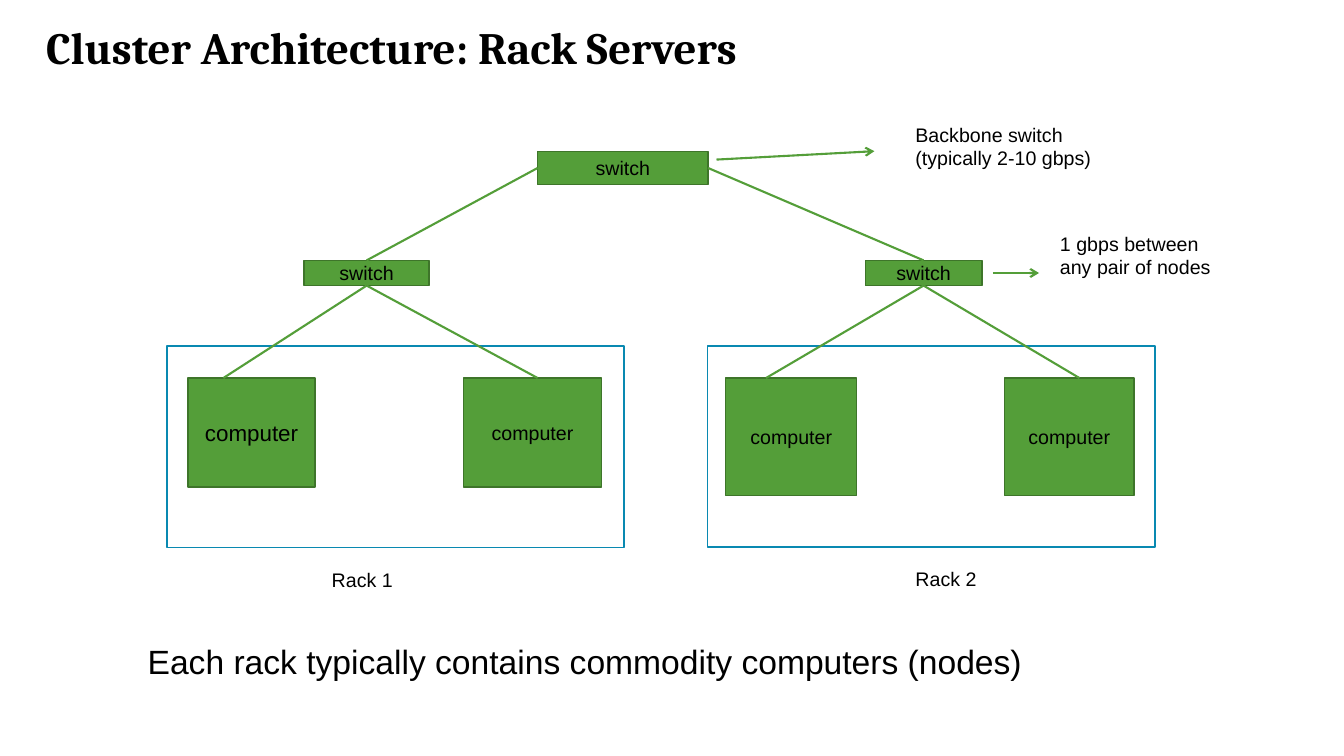
from dataclasses import dataclass

from lxml import etree
from pptx import Presentation
from pptx.dml.color import RGBColor
from pptx.enum.shapes import MSO_CONNECTOR, MSO_SHAPE
from pptx.enum.text import MSO_ANCHOR, PP_ALIGN
from pptx.oxml.ns import qn
from pptx.util import Inches, Pt

RECTANGLE, STRAIGHT = MSO_SHAPE.RECTANGLE, MSO_CONNECTOR.STRAIGHT
MIDDLE, TOP_ANCHOR = MSO_ANCHOR.MIDDLE, MSO_ANCHOR.TOP
CENTER, LEFT_ALIGN = PP_ALIGN.CENTER, PP_ALIGN.LEFT

BLACK = RGBColor(0x00, 0x00, 0x00)
WHITE = RGBColor(0xFF, 0xFF, 0xFF)
GREEN = RGBColor(0x54, 0x9E, 0x39)
DARK_GREEN = RGBColor(0x3E, 0x75, 0x2A)
BLUE = RGBColor(0x09, 0x89, 0xB1)

# The slide is a grid of 160 columns by 90 rows.
WIDTH, HEIGHT = Inches(13.33), Inches(7.5)
COLUMN, ROW = WIDTH / 160, HEIGHT / 90
TOP, LEFT, BOTTOM, RIGHT = range(4)  # connection sites of a rectangle


@dataclass
class Rack:
    """Columns of a rack's parts, counted from its left edge."""
    name: str
    box: tuple
    switch: tuple
    computers: tuple  # (left, width, cable end, text size)
    computer_rows: float
    label: float
    backbone_side: int


RACKS = (
    Rack("Rack 1", (19.9, 41.2, 54.4, 24), (16.3, 14.9),
         ((2.5, 15.1, 6.7, 16), (35.3, 16.4, 44.1, 14)), 13, 18.4, LEFT),
    Rack("Rack 2", (84.2, 41.2, 53.3, 23.9), (18.8, 13.9),
         ((2.2, 15.6, 7, 14), (35.4, 15.4, 44.3, 14)), 14, 23.6, RIGHT),
)


def on_grid(left, top, width, height):
    return (round(left * COLUMN), round(top * ROW),
            round(width * COLUMN), round(height * ROW))


def write(frame, text, size=14, font="Arial", bold=False, align=LEFT_ALIGN,
          anchor=TOP_ANCHOR, wrap=False, spacing=1.0):
    frame.word_wrap = wrap
    frame.vertical_anchor = anchor
    frame.text = text
    style = {"name": font, "size": Pt(size), "bold": bold}
    for paragraph in frame.paragraphs:
        paragraph.alignment = align
        paragraph.line_spacing = spacing
        for key, value in style.items():
            setattr(paragraph.font, key, value)
        paragraph.font.color.rgb = BLACK


def add_label(slide, box, text, **style):
    write(slide.shapes.add_textbox(*on_grid(*box)).text_frame, text, **style)


def add_box(slide, box, fill=GREEN, outline=DARK_GREEN, text="", size=14):
    shape = slide.shapes.add_shape(RECTANGLE, *on_grid(*box))
    shape.shadow.inherit = False
    shape.fill.solid()
    shape.fill.fore_color.rgb = fill
    shape.line.color.rgb = outline
    shape.line.width = Pt(1)
    if text:
        write(shape.text_frame, text, size, align=CENTER, anchor=MIDDLE, wrap=True)
    return shape


def add_cable(slide, start=(0, 0), end=(0, 0), arrow=False):
    cable = slide.shapes.add_connector(
        STRAIGHT, *on_grid(*start, *end))
    cable.line.color.rgb = GREEN
    cable.line.width = Pt(1.5)
    properties = cable._element.spPr
    if arrow:
        etree.SubElement(properties.find(qn("a:ln")), qn("a:tailEnd"), type="arrow")
    etree.SubElement(properties, qn("a:effectLst"))
    return cable


def add_backbone(slide, box):
    """Draw the top switch and the note at its right."""
    left, top, width, _ = box
    backbone = add_box(slide, box, text="switch")
    right = left + width
    add_cable(slide, (right + 1, top + 1), (right + 19.8, top), arrow=True)
    add_label(slide, (right + 23.5, top - 4, 23.4, 6.8),
              "Backbone switch\n(typically 2-10 gbps)")
    return backbone


def add_rack(slide, rack, backbone):
    """Draw a rack, its computers and its switch, cabled to the backbone."""
    left, top, _, height = rack.box
    add_box(slide, rack.box, WHITE, BLUE)
    switch_left, switch_width = rack.switch
    switch = add_box(slide, (left + switch_left, top - 10.2, switch_width, 3),
                     text="switch")
    uplink = add_cable(slide)
    uplink.begin_connect(backbone, rack.backbone_side)
    uplink.end_connect(switch, TOP)
    computer_top = top + 3.8
    for offset, width, cable_end, size in rack.computers:
        add_box(slide, (left + offset, computer_top, width, rack.computer_rows),
                text="computer", size=size)
        cable = add_cable(slide, end=(left + cable_end, computer_top))
        cable.begin_connect(switch, BOTTOM)
    add_label(slide, (left + rack.label, top + height + 1.8, 9.7, 4.1), rack.name)


def add_speed_note(slide, box):
    left, top, _, _ = box
    add_cable(slide, (left - 6.8, top + 5.5), (left - 1.3, top + 5.5), arrow=True)
    add_label(slide, box, "1 gbps between any pair of nodes", wrap=True)


def main():
    presentation = Presentation()
    presentation.slide_width, presentation.slide_height = WIDTH, HEIGHT
    slide = presentation.slides.add_slide(presentation.slide_layouts[6])
    add_label(slide, (4.3, 2.4, 127, 7.1), "Cluster Architecture: Rack Servers",
              size=32, font="Cambria", bold=True, anchor=MIDDLE, wrap=True,
              spacing=0.9)
    backbone = add_backbone(slide, (64, 18, 20.3, 4))
    for rack in RACKS:
        add_rack(slide, rack, backbone)
    add_speed_note(slide, (125, 27, 22.1, 6.8))
    add_label(slide, (16.4, 75.7, 107.5, 6),
              "Each rack typically contains commodity computers (nodes)", size=24)
    presentation.save("out.pptx")


if __name__ == "__main__":
    main()
